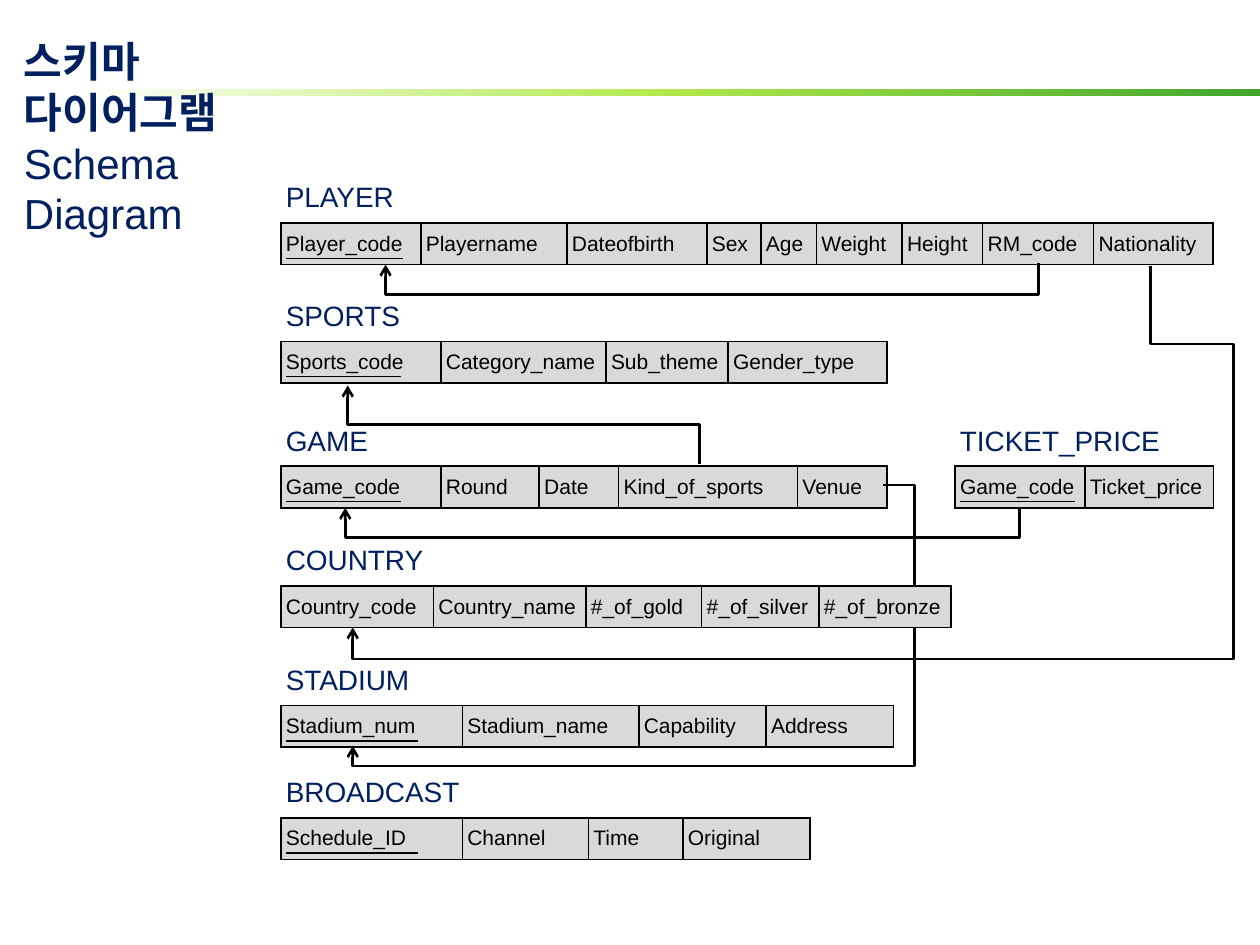
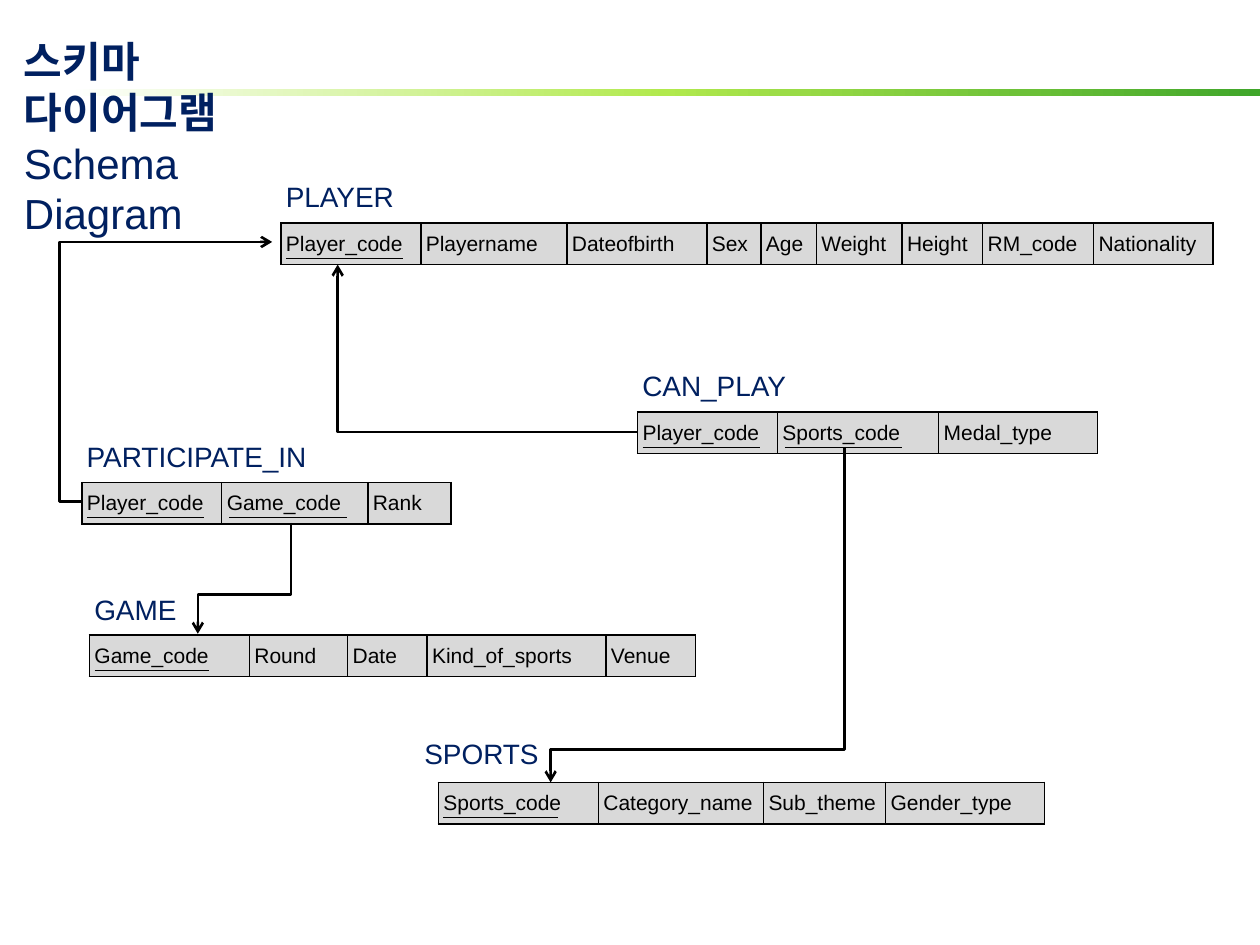
from copy import deepcopy
from math import cos, radians, sin

from lxml import etree
from pptx import Presentation
from pptx.dml.color import RGBColor
from pptx.enum.shapes import MSO_CONNECTOR, MSO_SHAPE
from pptx.enum.text import MSO_ANCHOR, PP_ALIGN
from pptx.oxml.ns import qn
from pptx.util import Emu, Pt

RECT = MSO_SHAPE.RECTANGLE
ELBOW, STRAIGHT = MSO_CONNECTOR.ELBOW, MSO_CONNECTOR.STRAIGHT
TOP, MIDDLE, LEFT = MSO_ANCHOR.TOP, MSO_ANCHOR.MIDDLE, PP_ALIGN.LEFT

SCALE = 9144  # 100 px to the inch
NAVY, BLACK, GREY = "002060", "000000", "D9D9D9"
LATIN, HANGUL = "Arial", "Noto Sans CJK KR"
BAND = [(0, "FFFFFF"), (0.5, "B1E94D"), (1, "40A62A")]
ROW = 33

PLAYER = [("Player_code", 111), ("Playername", 116), ("Dateofbirth", 111),
          ("Sex", 43), ("Age", 44), ("Weight", 68), ("Height", 64),
          ("RM_code", 88), ("Nationality", 95)]
SPORTS = [("Sports_code", 127), ("Category_name", 131),
          ("Sub_theme", 97), ("Gender_type", 126)]
GAME = [("Game_code", 127), ("Round", 78), ("Date", 63),
        ("Kind_of_sports", 142), ("Venue", 71)]
TICKET = [("Game_code", 103), ("Ticket_price", 102)]
COUNTRY = [("Country_code", 121), ("Country_name", 121), ("#_of_gold", 92),
           ("#_of_silver", 93), ("#_of_bronze", 105)]
STADIUM = [("Stadium_num", 144), ("Stadium_name", 140),
           ("Capability", 101), ("Address", 101)]
CAST = [("Schedule_ID", 144), ("Channel", 100), ("Time", 75), ("Original", 101)]
JOIN = [("Player_code", 111), ("Game_code", 116), ("Rank", 66)]
PLAY = [("Player_code", 111), ("Sports_code", 128), ("Medal_type", 126)]


def px(n):
    return Emu(round(n * SCALE))


def rgb(code):
    return RGBColor.from_string(code)


def add_run(para, text, size, color, font=LATIN, bold=False):
    run = para.add_run()
    run.text = text
    run.font.size, run.font.bold, run.font.name = Pt(size), bold, font
    run.font.color.rgb = rgb(color)
    east = etree.SubElement(run._r.get_or_add_rPr(), qn("a:ea"))
    east.set("typeface", font)


def add_band(slide):
    """Draw the gradient rule and move it to the layout all slides share."""
    bar = slide.shapes.add_shape(RECT, px(55), px(71), px(945), px(5))
    bar.shadow.inherit = False
    bar.line.fill.background()
    bar.fill.gradient()
    bar.fill.gradient_angle = 0
    stops = bar.element.find(".//" + qn("a:gsLst"))
    stops.insert(1, deepcopy(stops[0]))
    for stop, (pos, color) in zip(bar.fill.gradient_stops, BAND):
        stop.position = pos
        stop.color.rgb = rgb(color)
    slide.slide_layout.shapes.element.append(bar.element)


def add_title(slide):
    box = slide.shapes.title
    box.left, box.top, box.width, box.height = map(px, (9, 23, 268, 171))
    frame = box.text_frame
    frame.word_wrap, frame.vertical_anchor = True, TOP
    lines = [("스키마 다이어그램", HANGUL, True),
             ("Schema", LATIN, False), ("Diagram", LATIN, False)]
    for i, (text, font, bold) in enumerate(lines):
        para = frame.add_paragraph() if i else frame.paragraphs[0]
        para.alignment, para.line_spacing = LEFT, Pt(29)
        add_run(para, text, 24, NAVY, font, bold)


def add_label(slide, text, left, top):
    box = slide.shapes.add_textbox(px(left), px(top), px(200), px(37))
    box.text_frame.word_wrap = True
    add_run(box.text_frame.paragraphs[0], text, 16, NAVY)


def style_line(line, width):
    line.line.color.rgb = rgb(BLACK)
    line.line.width = Pt(width)
    etree.SubElement(line.element.spPr, qn("a:effectLst"))


def fill_cell(cell, text):
    props = cell._tc.get_or_add_tcPr()
    for side in ("lnL", "lnR", "lnT", "lnB"):
        edge = etree.SubElement(props, qn("a:" + side), w=str(Pt(1)))
        solid = etree.SubElement(edge, qn("a:solidFill"))
        etree.SubElement(solid, qn("a:srgbClr"), val=BLACK)
    cell.fill.solid()
    cell.fill.fore_color.rgb = rgb(GREY)
    cell.margin_left = cell.margin_right = px(4)
    cell.margin_top = cell.margin_bottom = 0
    cell.vertical_anchor = MIDDLE
    add_run(cell.text_frame.paragraphs[0], text, 12, BLACK)


def add_schema(slide, name, cols, left, top, keys=(), shift=(-6, -39)):
    """Draw a named one-row table; keys holds the rule length of each key column."""
    add_label(slide, name, left + shift[0], top + shift[1])
    width = sum(size for _, size in cols)
    table = slide.shapes.add_table(1, len(cols), px(left), px(top),
                                   px(width), px(ROW)).table
    table.first_row = table.horz_banding = False
    table.rows[0].height = px(ROW)
    for i, (text, size) in enumerate(cols):
        table.columns[i].width = px(size)
        fill_cell(table.cell(0, i), text)
    for i, size in enumerate(keys):
        x = left + sum(w for _, w in cols[:i]) + 4 + 2 * i
        y = top + 28
        rule = slide.shapes.add_connector(STRAIGHT, px(x), px(y),
                                          px(x + size), px(y))
        style_line(rule, 0.75)


def add_link(slide, start, end, turn, *bends):
    """Draw an elbow arrow; bends are the x or y of each inner leg, in turn."""
    dx, dy = end[0] - start[0], end[1] - start[1]
    c, s = round(cos(radians(turn))), round(sin(radians(turn)))
    w, h = dx * c + dy * s, dy * c - dx * s
    mid_x, mid_y = (start[0] + end[0]) / 2, (start[1] + end[1]) / 2
    link = slide.shapes.add_connector(
        ELBOW, px(mid_x - w / 2), px(mid_y - h / 2),
        px(mid_x + w / 2), px(mid_y + h / 2))
    if turn:
        link.element.spPr.find(qn("a:xfrm")).set("rot", str(turn * 60000))
    geom = link.element.spPr.find(qn("a:prstGeom"))
    geom.set("prst", f"bentConnector{len(bends) + 2}")
    guides = geom.find(qn("a:avLst"))
    if guides is None:
        guides = etree.SubElement(geom, qn("a:avLst"))
    first = abs(s)
    for i, bend in enumerate(bends):
        axis = (first + i) % 2
        part = (bend - start[axis]) / (end[axis] - start[axis])
        name = f"adj{i + 1}" if len(bends) > 1 else "adj1"
        etree.SubElement(guides, qn("a:gd"), name=name,
                         fmla=f"val {round(part * 100000)}")
    style_line(link, 1.5)
    ln = link.element.spPr.find(qn("a:ln"))
    etree.SubElement(ln, qn("a:tailEnd"), type="arrow")


def draw_main(slide):
    x = 223
    add_schema(slide, "PLAYER", PLAYER, x, 177, [93])
    add_schema(slide, "SPORTS", SPORTS, x, 271, [91])
    add_schema(slide, "GAME", GAME, x, 370, [91])
    add_schema(slide, "STADIUM", STADIUM, x, 560, [105])
    add_schema(slide, "BROADCAST", CAST, x, 649, [105])
    add_schema(slide, "TICKET_PRICE", TICKET, 758, 370, [91])
    add_link(slide, (824, 209), (306, 210), 90, 234)
    add_link(slide, (701, 385), (280, 592), 0, 726, 608)
    add_link(slide, (555, 368), (276, 306), 270, 337)
    add_link(slide, (809, 402), (274, 403), 90, 427)
    add_link(slide, (913, 211), (280, 498), 270, 273, 979, 523)
    add_schema(slide, "COUNTRY", COUNTRY, x, 465)


def draw_joins(slide):
    add_schema(slide, "PLAYER", PLAYER, 223, 177, [93])
    add_schema(slide, "SPORTS", SPORTS, 348, 621, [91], (-21, -41))
    add_schema(slide, "GAME", GAME, 71, 504, [91])
    add_schema(slide, "PARTICIPATE_IN", JOIN, 65, 383, [93, 93])
    add_schema(slide, "CAN_PLAY", PLAY, 506, 327, [93, 93])
    add_link(slide, (64, 398), (216, 192), 180, 47)
    add_link(slide, (506, 343), (268, 210), 180)
    add_link(slide, (231, 415), (157, 503), 90, 472)
    add_link(slide, (670, 355), (437, 621), 90, 595)


def main():
    deck = Presentation()
    deck.slide_width, deck.slide_height = px(1000), px(750)
    layout = deck.slide_layouts[5]
    for i, draw in enumerate((draw_main, draw_joins)):
        slide = deck.slides.add_slide(layout)
        if i == 0:
            add_band(slide)
        add_title(slide)
        draw(slide)
    deck.save("out.pptx")


if __name__ == "__main__":
    main()
